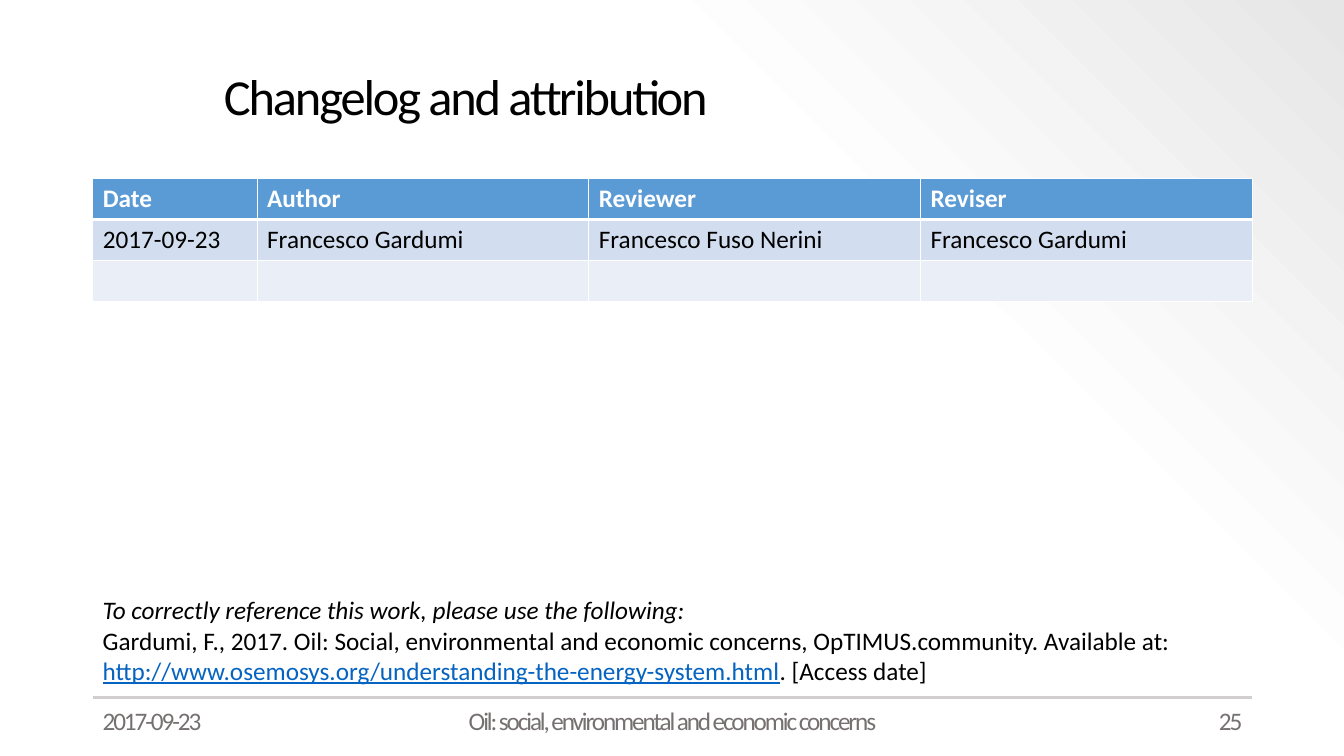
from lxml import etree
from pptx import Presentation
from pptx.dml.color import RGBColor
from pptx.enum.shapes import MSO_CONNECTOR
from pptx.enum.text import MSO_ANCHOR, MSO_AUTO_SIZE, PP_ALIGN
from pptx.oxml import parse_xml
from pptx.oxml.ns import nsdecls, qn
from pptx.util import Inches, Pt

WHITE = RGBColor(0xFF, 0xFF, 0xFF)
BLACK = RGBColor(0x00, 0x00, 0x00)
HEADER_BLUE = RGBColor(0x5B, 0x9B, 0xD5)
BAND_DARK = RGBColor(0xD2, 0xDE, 0xEF)
BAND_LIGHT = RGBColor(0xEA, 0xEF, 0xF7)
FOOTER_GREY = RGBColor(0x76, 0x71, 0x71)
RULE_GREY = RGBColor(0xD0, 0xCE, 0xCE)
LINK_BLUE = RGBColor(0x05, 0x63, 0xC1)

LEFT, WIDTH = 0.92, 11.5
CHANGELOG = [
    ("Date", "Author", "Reviewer", "Reviser"),
    ("2017-09-23", "Francesco Gardumi", "Francesco Fuso Nerini", "Francesco Gardumi"),
    ("", "", "", ""),
]
CITATION = [
    [("To correctly reference this work, please use the following:", {"italic": True})],
    [
        ("Gardumi, F., 2017. Oil: Social, environmental and economic concerns, "
         "OpTIMUS.community. Available at: ", {}),
        ("http://www.osemosys.org/understanding-the-energy-system.html",
         {"color": LINK_BLUE, "underline": True}),
        (". [Access date]", {}),
    ],
]


def add_run(p, text, size=18, color=BLACK, spacing=None, **formats):
    r = p.add_run()
    r.text = text
    r.font.color.rgb = color
    for name, value in {"name": "Calibri", "size": Pt(size), **formats}.items():
        setattr(r.font, name, value)
    if spacing is not None:
        r.font._element.set("spc", str(int(spacing * 100)))


def add_box(slide, left, top, width, height, **formats):
    tf = slide.shapes.add_textbox(*map(Inches, (left, top, width, height))).text_frame
    for name, value in {"word_wrap": True, **formats}.items():
        setattr(tf, name, value)
    return tf


def set_background(slide):
    slide.background.fill.gradient()
    grad = slide.background._cSld.find(".//" + qn("a:gradFill"))
    grad.getparent().replace(grad, parse_xml(
        f'<a:gradFill {nsdecls("a")} rotWithShape="1"><a:gsLst>'
        '<a:gs pos="0"><a:srgbClr val="FFFFFF"/></a:gs>'
        '<a:gs pos="69000"><a:srgbClr val="FDFDFD"/></a:gs>'
        '<a:gs pos="100000"><a:srgbClr val="E7E6E6"><a:alpha val="50000"/></a:srgbClr></a:gs>'
        '</a:gsLst><a:lin ang="18900000" scaled="0"/></a:gradFill>'))


def add_title(slide, left, top, width, height):
    sp = slide.shapes.title
    sp.left, sp.top, sp.width, sp.height = map(Inches, (left, top, width, height))
    tf = sp.text_frame
    tf.auto_size = MSO_AUTO_SIZE.NONE
    tf.vertical_anchor = MSO_ANCHOR.MIDDLE
    p = tf.paragraphs[0]
    p.alignment = PP_ALIGN.LEFT
    p.line_spacing = 0.9
    add_run(p, "Changelog and attribution", size=36, spacing=-1.5)


def set_borders(cell, widths):
    for side, width in zip("LRTB", widths):
        cell._tc.get_or_add_tcPr().append(parse_xml(
            f'<a:ln{side} {nsdecls("a")} w="{Pt(width)}"><a:solidFill>'
            f'<a:srgbClr val="{WHITE}"/></a:solidFill></a:ln{side}>'))


def add_changelog(slide, left, top, width, height):
    rows, cols = len(CHANGELOG), len(CHANGELOG[0])
    table = slide.shapes.add_table(
        rows, cols, *map(Inches, (left, top, width, height))).table
    date_width = 1.63
    for i, column in enumerate(table.columns):
        column.width = Inches((width - date_width) / (cols - 1) if i else date_width)
    for i, (texts, fill) in enumerate(zip(CHANGELOG, (HEADER_BLUE, BAND_DARK, BAND_LIGHT))):
        # A thick rule parts the header from the entries
        widths = (1, 1, 3 if i == 1 else 1, 3 if i == 0 else 1)
        for cell, text in zip(table.rows[i].cells, texts):
            set_borders(cell, widths)
            cell.fill.solid()
            cell.fill.fore_color.rgb = fill
            if text:
                add_run(cell.text_frame.paragraphs[0], text,
                        color=BLACK if i else WHITE, bold=i == 0)


def add_citation(slide, left, top, width, height):
    tf = add_box(slide, left, top, width, height, margin_top=0, margin_bottom=0)
    for i, runs in enumerate(CITATION):
        p = tf.add_paragraph() if i else tf.paragraphs[0]
        for text, formats in runs:
            add_run(p, text, **formats)


def add_footer(slide, left, top, width, height):
    # Rule above the footer
    rule = slide.shapes.add_connector(
        MSO_CONNECTOR.STRAIGHT, *map(Inches, (left, top, left + width, top)))
    rule.line.color.rgb = RULE_GREY
    rule.line.width = Pt(1.5)
    etree.SubElement(rule._element.spPr, qn("a:effectLst"))

    # Date, topic and page number side by side
    for text, part, align in (
        ("2017-09-23", 3, PP_ALIGN.LEFT),
        ("Oil: social, environmental and economic concerns", 4.5, PP_ALIGN.CENTER),
        ("25", 3, PP_ALIGN.RIGHT),
    ):
        tf = add_box(slide, left, top + 0.03, part, height - 0.03,
                     vertical_anchor=MSO_ANCHOR.MIDDLE)
        tf.paragraphs[0].alignment = align
        add_run(tf.paragraphs[0], text, color=FOOTER_GREY, spacing=-1.5)
        left += part + 0.5


def main():
    prs = Presentation()
    prs.slide_width, prs.slide_height = Inches(13.33), Inches(7.5)
    slide = prs.slides.add_slide(prs.slide_layouts[5])
    set_background(slide)
    add_title(slide, 2.12, 0.37, 10.3, 1.22)
    add_changelog(slide, LEFT, 1.77, WIDTH, 1.22)
    add_citation(slide, LEFT, 5.9, WIDTH, 0.93)
    add_footer(slide, LEFT, 6.92, WIDTH, 0.43)
    prs.save("out.pptx")


if __name__ == "__main__":
    main()
